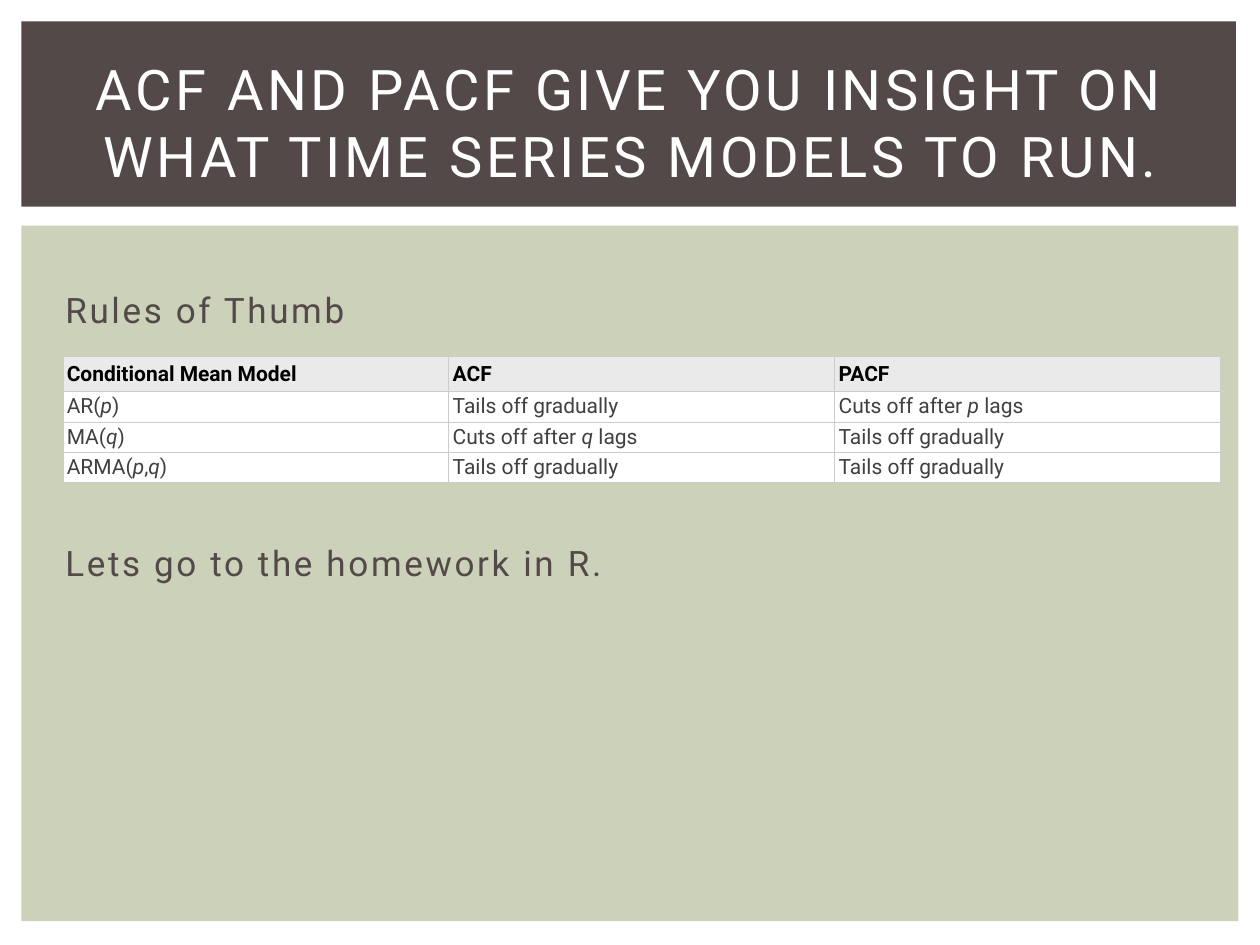
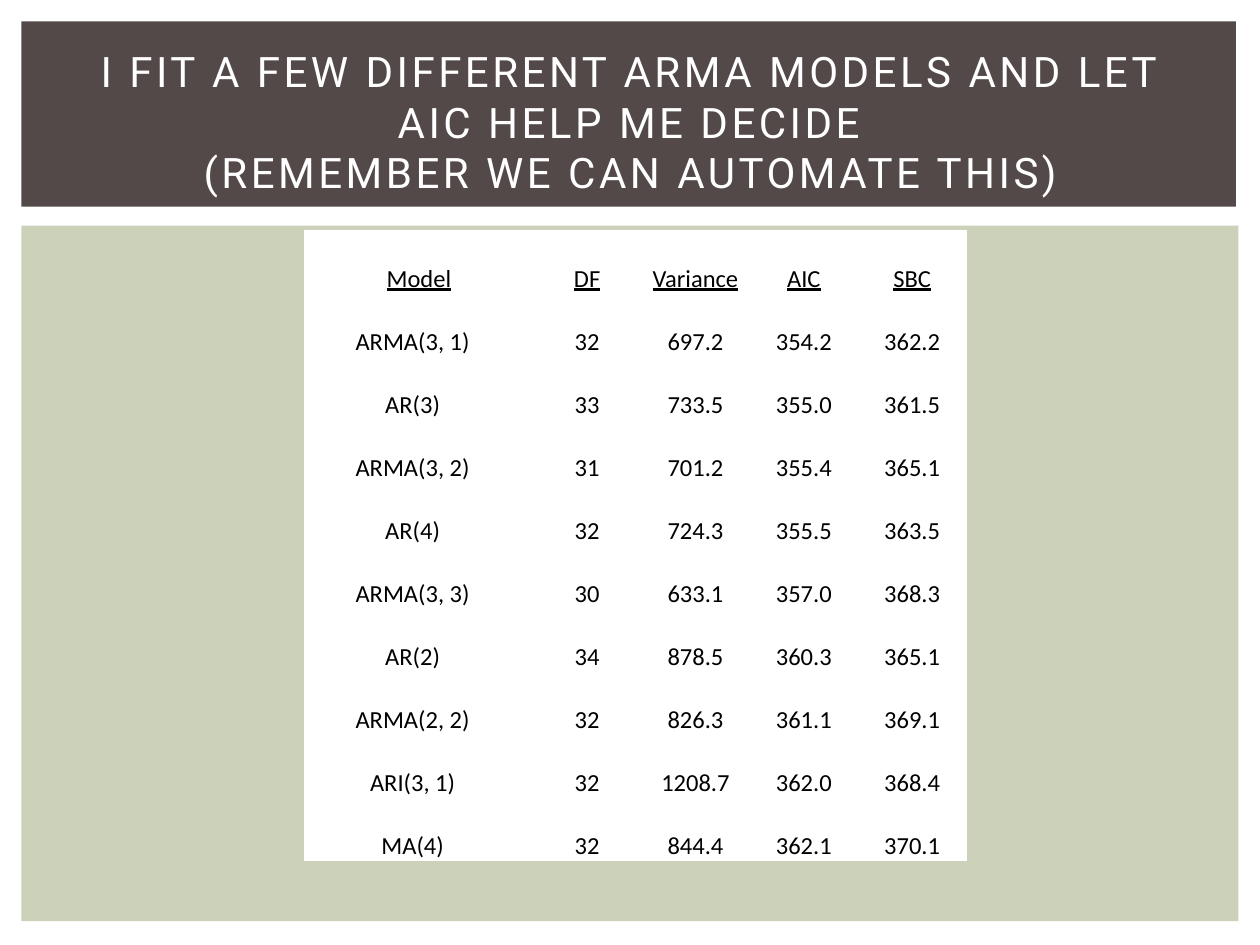
from lxml.etree import SubElement
from pptx import Presentation
from pptx.dml.color import RGBColor
from pptx.enum.shapes import MSO_SHAPE
from pptx.enum.text import MSO_ANCHOR, PP_ALIGN
from pptx.oxml.ns import qn
from pptx.util import Inches, Pt

BROWN, SAGE, WHITE, BLACK = "534949", "CCD1B9", "FFFFFF", "000000"
HEADER_GREY, TEXT_GREY, BORDER_GREY = "EAEAEA", "404040", "CCCCCC"

presentation = Presentation()
presentation.slide_width, presentation.slide_height = Inches(10), Inches(7.5)


def color(hex_string):
    return RGBColor.from_string(hex_string)


def area(left, top, width, height):
    """Turn percentages of the slide's width and height into lengths."""
    across, down = presentation.slide_width / 100, presentation.slide_height / 100
    return int(left * across), int(top * down), int(width * across), int(height * down)


# Asterisks enclose italic text.
rules_table = {
    "rows": [
        ["Conditional Mean Model", "ACF", "PACF"],
        ["AR(*p*)", "Tails off gradually", "Cuts off after *p* lags"],
        ["MA(*q*)", "Cuts off after *q* lags", "Tails off gradually"],
        ["ARMA(*p*,*q*)", "Tails off gradually", "Tails off gradually"],
    ],
    "left": 5, "top": 37.73,
    "column_widths": [30.63] * 3,
    "row_heights": [3.73] + [3.2] * 3,
    "font": "Roboto", "size": 12,
    "header_fill": HEADER_GREY, "text_color": TEXT_GREY,
    "align": PP_ALIGN.LEFT, "anchors": (MSO_ANCHOR.MIDDLE, MSO_ANCHOR.TOP),
    "side_margin": 0.03, "vertical_margins": ((0.03, 0.03), (0.02, 0.02)),
    "label_shift": 0, "border": BORDER_GREY,
    "bold_header": True, "underlined_header": False,
}
models_table = {
    "rows": [
        ["Model", "DF", "Variance", "AIC", "SBC"],
        ["ARMA(3, 1)", "32", "697.2", "354.2", "362.2"],
        ["AR(3)", "33", "733.5", "355.0", "361.5"],
        ["ARMA(3, 2)", "31", "701.2", "355.4", "365.1"],
        ["AR(4)", "32", "724.3", "355.5", "363.5"],
        ["ARMA(3, 3)", "30", "633.1", "357.0", "368.3"],
        ["AR(2)", "34", "878.5", "360.3", "365.1"],
        ["ARMA(2, 2)", "32", "826.3", "361.1", "369.1"],
        ["ARI(3, 1)", "32", "1208.7", "362.0", "368.4"],
        ["MA(4)", "32", "844.4", "362.1", "370.1"],
    ],
    "left": 24.2, "top": 24.4,
    "column_widths": [18.1] + [8.6] * 4,
    "row_heights": [6.67] * 10,
    "font": "Calibri", "size": 14,
    "header_fill": WHITE, "text_color": BLACK,
    "align": PP_ALIGN.CENTER, "anchors": (MSO_ANCHOR.BOTTOM, MSO_ANCHOR.BOTTOM),
    "side_margin": 0.01, "vertical_margins": ((0.01, 0), (0.01, 0)),
    "label_shift": 0.1, "border": None,
    "bold_header": False, "underlined_header": True,
}
slide_contents = [
    (["ACF AND PACF GIVE YOU INSIGHT ON WHAT TIME SERIES MODELS TO RUN."], 32,
     ["Rules of Thumb", "Lets go to the homework in R."], rules_table),
    (["I FIT A FEW DIFFERENT ARMA MODELS AND LET AIC HELP ME DECIDE",
      "(REMEMBER WE CAN AUTOMATE THIS)"], 24, [], models_table),
]

for title_lines, title_size, body_lines, content in slide_contents:
    slide = presentation.slides.add_slide(presentation.slide_layouts[6])

    # Content panel and title band
    for fill, place in ((SAGE, (1.7, 23.87, 96.6, 73.6)), (BROWN, (1.7, 2.27, 96.4, 19.6))):
        band = slide.shapes.add_shape(MSO_SHAPE.RECTANGLE, *area(*place))
        band.shadow.inherit = False
        band.fill.solid()
        band.fill.fore_color.rgb = color(fill)
        band.line.fill.background()

    # Body text, leaving room for the table between its lines
    if body_lines:
        body = slide.shapes.add_textbox(*area(4.2, 25.07, 91.9, 64.27)).text_frame
        body.word_wrap = True
        body.margin_top = Inches(0.41)
        for index, line in enumerate(body_lines):
            paragraph = body.add_paragraph() if index else body.paragraphs[0]
            paragraph.text = line
            if index:
                paragraph.space_before = Pt(120.5)
            paragraph.font.name, paragraph.font.size = "Roboto", Pt(20)
            paragraph.font.color.rgb = color(BROWN)
            paragraph._p.get_or_add_pPr().get_or_add_defRPr().set("spc", "150")

    # Title
    title = slide.shapes.add_textbox(*area(4.2, 5.2, 91.7, 15.33)).text_frame
    title.word_wrap = True
    title.vertical_anchor = MSO_ANCHOR.MIDDLE
    paragraph = title.paragraphs[0]
    paragraph.alignment = PP_ALIGN.CENTER
    for index, line in enumerate(title_lines):
        if index:
            paragraph.add_line_break()
        paragraph.add_run().text = line
    paragraph.font.name, paragraph.font.size = "Roboto", Pt(title_size)
    paragraph.font.color.rgb = color(WHITE)
    paragraph._p.get_or_add_pPr().get_or_add_defRPr().set("spc", "200")

    # Table
    rows, widths, heights = content["rows"], content["column_widths"], content["row_heights"]
    place = area(content["left"], content["top"], sum(widths), sum(heights))
    table = slide.shapes.add_table(len(rows), len(widths), *place).table
    table.first_row = table.horz_banding = False
    for column, width in zip(table.columns, widths):
        column.width = area(0, 0, width, 0)[2]
    for row, height in zip(table.rows, heights):
        row.height = area(0, 0, 0, height)[3]

    for row_index, row_texts in enumerate(rows):
        is_header = row_index == 0
        part = 0 if is_header else 1
        for column_index, text in enumerate(row_texts):
            cell = table.cell(row_index, column_index)
            is_label = column_index == 0 and not is_header
            cell.vertical_anchor = content["anchors"][part]
            cell.margin_left = Inches(content["side_margin"])
            cell.margin_right = Inches(content["side_margin"] + is_label * content["label_shift"])
            cell.margin_top, cell.margin_bottom = map(Inches, content["vertical_margins"][part])

            if content["border"]:
                for side in ("a:lnL", "a:lnR", "a:lnT", "a:lnB"):
                    line = SubElement(cell._tc.get_or_add_tcPr(), qn(side), w=str(Pt(0.6)))
                    line_fill = SubElement(line, qn("a:solidFill"))
                    SubElement(line_fill, qn("a:srgbClr"), val=content["border"])
            cell.fill.solid()
            cell.fill.fore_color.rgb = color(content["header_fill"] if is_header else WHITE)

            paragraph = cell.text_frame.paragraphs[0]
            paragraph.alignment = content["align"]
            for index, piece in enumerate(text.split("*")):
                if piece:
                    run = paragraph.add_run()
                    run.text = piece
                    if index % 2:
                        run.font.italic = True
            font = paragraph.font
            font.name, font.size = content["font"], Pt(content["size"])
            font.bold = is_header and content["bold_header"]
            font.underline = is_header and content["underlined_header"]
            font.color.rgb = color(BLACK if is_header else content["text_color"])

presentation.save("out.pptx")
